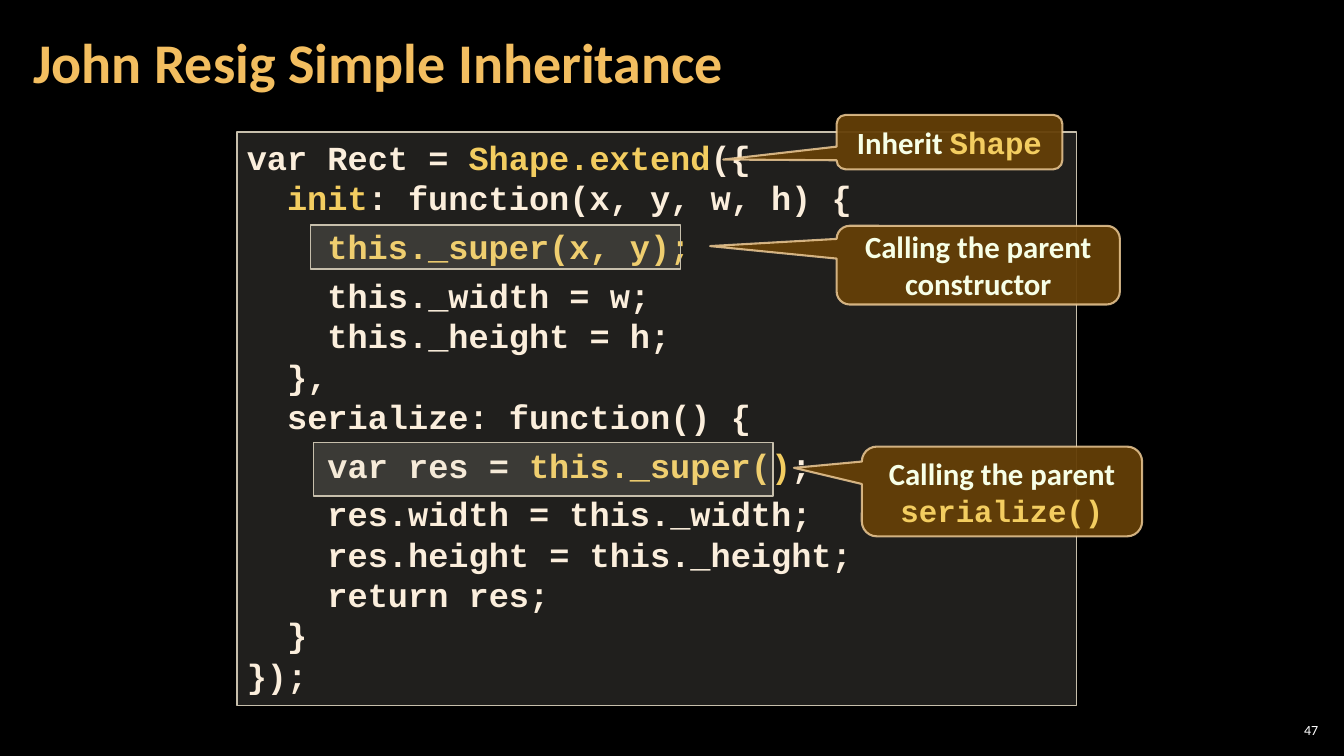
from lxml import etree
from pptx import Presentation
from pptx.dml.color import RGBColor
from pptx.enum.shapes import MSO_SHAPE
from pptx.enum.text import MSO_ANCHOR, PP_ALIGN
from pptx.oxml.ns import qn
from pptx.util import Pt

RECT = MSO_SHAPE.RECTANGLE
CALLOUT = MSO_SHAPE.ROUNDED_RECTANGULAR_CALLOUT
TOP, MIDDLE = MSO_ANCHOR.TOP, MSO_ANCHOR.MIDDLE
LEFT, CENTER, RIGHT = PP_ALIGN.LEFT, PP_ALIGN.CENTER, PP_ALIGN.RIGHT

SANS, MONO = "Calibri", "Courier New"
BLACK, WHITE, ORANGE = "000000", "FFFFFF", "F3BE60"
CREAM, GOLD, IVORY = "FBEEDC", "F3CD60", "F7FFE7"
PANEL, PANEL_LINE = "D9D5C7", "C7BFAC"
BROWN, BROWN_LINE = "643F07", "F8D49E"

# Each line is a list of (text, is highlighted) pieces.
CODE = [
    [("var Rect = ", False), ("Shape.extend", True), ("({", False)],
    [("  ", False), ("init", True), (": function(x, y, w, h) {", False)],
    [("    ", False), ("this._super(x, y);", True)],
    [("    this._width = w;", False)],
    [("    this._height = h;", False)],
    [("  },", False)],
    [("  serialize: function() {", False)],
    [("    var res = ", False), ("this._super()", True), (";", False)],
    [("    res.width = this._width;", False)],
    [("    res.height = this._height;", False)],
    [("    return res;", False)],
    [("  }", False)],
    [("});", False)],
]
SPACED_LINES = (2, 7)

# Box, pointer tip, plain text, code text.
CALLOUTS = [
    ((597.6, 161.3, 202.3, 56.2), (-0.947, -0.242),
     "Calling the parent constructor", ""),
    ((615.6, 319, 200.2, 64.1), (-0.742, -0.263),
     "Calling the parent ", "serialize()"),
    ((597.6, 82.1, 161.3, 38.9), (-1.002, 0.32), "Inherit ", "Shape"),
]


def rgb(color):
    return RGBColor.from_string(color)


def set_alpha(fill, percent):
    """Make a solid fill translucent; percent is its opacity."""
    clr = fill._xPr.find(qn("a:solidFill"))[0]
    etree.SubElement(clr, qn("a:alpha"), val=str(percent * 1000))


def add_run(p, text, size, color, font=SANS, bold=True):
    r = p.add_run()
    r.text = text
    r.font.name, r.font.size, r.font.bold = font, Pt(size), bold
    r.font.color.rgb = rgb(color)


def add_label(s, box, text, size, color, align, bold, side):
    tf = s.shapes.add_textbox(*map(Pt, box)).text_frame
    tf.word_wrap = True
    tf.vertical_anchor = MIDDLE
    tf.margin_left = tf.margin_right = Pt(side)
    tf.margin_top = tf.margin_bottom = Pt(3)
    p = tf.paragraphs[0]
    p.alignment = align
    add_run(p, text, size, color, bold=bold)
    return p


def add_filled(s, kind, box, fill, opacity, line, width):
    sp = s.shapes.add_shape(kind, *map(Pt, box))
    sp.shadow.inherit = False
    sp.fill.solid()
    sp.fill.fore_color.rgb = rgb(fill)
    set_alpha(sp.fill, opacity)
    sp.line.color.rgb = rgb(line)
    sp.line.width = Pt(width)
    return sp


def add_panel(s, box):
    return add_filled(s, RECT, box, PANEL, 15, PANEL_LINE, 1)


def add_code(s, box):
    tf = add_panel(s, box).text_frame
    tf.vertical_anchor = TOP
    for i, line in enumerate(CODE):
        p = tf.add_paragraph() if i else tf.paragraphs[0]
        p.alignment = LEFT
        if i in SPACED_LINES:
            p.space_before = p.space_after = Pt(6)
        for text, marked in line:
            add_run(p, text, 24, GOLD if marked else CREAM, MONO)


def add_callout(s, box, tip, text, code):
    sp = add_filled(s, CALLOUT, box, BROWN, 95, BROWN_LINE, 1.5)
    set_alpha(sp.line.fill, 80)
    sp.adjustments[0], sp.adjustments[1] = tip
    tf = sp.text_frame
    tf.word_wrap = True
    tf.vertical_anchor = MIDDLE
    p = tf.paragraphs[0]
    p.alignment = CENTER
    add_run(p, text, 22, IVORY)
    if code:
        add_run(p, code, 22, GOLD, MONO)


def main():
    prs = Presentation()
    prs.slide_width, prs.slide_height = Pt(960), Pt(540)
    s = prs.slides.add_slide(prs.slide_layouts[6])
    s.background.fill.solid()
    s.background.fill.fore_color.rgb = rgb(BLACK)

    add_label(s, (910.8, 514.1, 33.8, 15.1), "47", 10, WHITE, RIGHT, False, 3)
    title = add_label(s, (15.1, 2.9, 753.8, 87.1),
                      "John Resig Simple Inheritance", 40, ORANGE, LEFT, True, 8.5)
    title.line_spacing = 0.9

    add_code(s, (169.2, 94.3, 599.8, 409.7))
    add_panel(s, (221.8, 160.6, 264.2, 31.7))
    add_panel(s, (223.9, 316.1, 328.3, 38.2))
    for callout in CALLOUTS:
        add_callout(s, *callout)

    prs.save("out.pptx")


if __name__ == "__main__":
    main()
